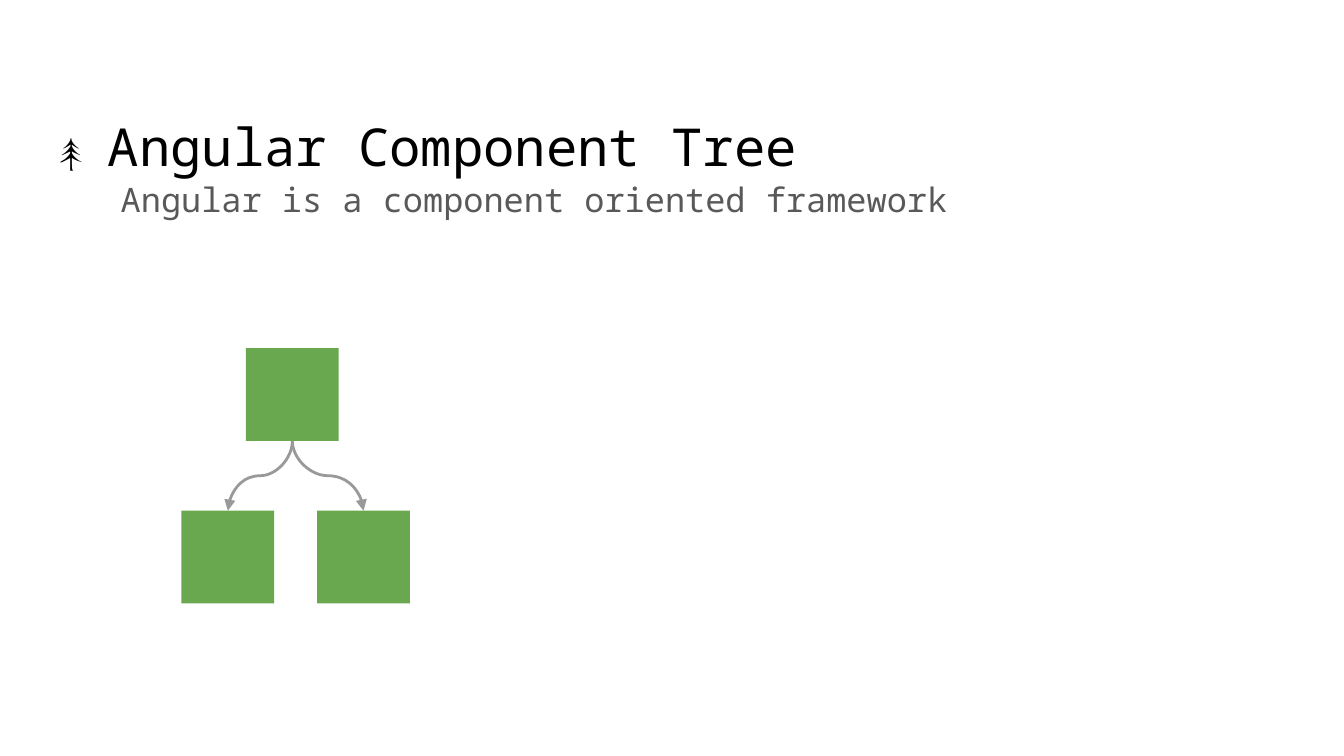
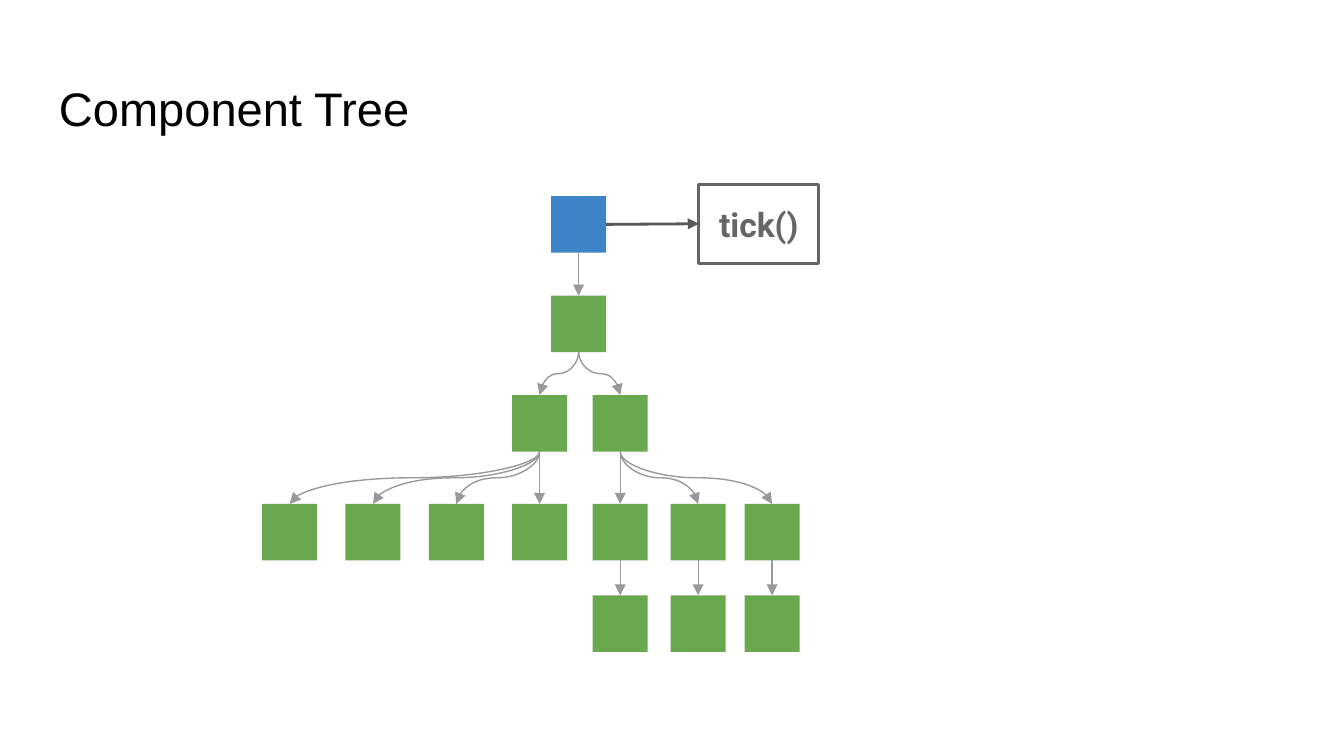
from lxml import etree
from pptx import Presentation
from pptx import util as u
from pptx.dml.color import RGBColor
from pptx.enum import shapes, text
from pptx.oxml import ns

GREEN, BLUE, GREY, DARK = "6AA84F", "3D85C6", "999999", "595959"
BLACK, WHITE, TICK_GREY = "000000", "FFFFFF", "666666"
MONO = "Noto Sans Mono"


def rgb(value):
    return RGBColor.from_string(value)


def link(slide, parent, child, color=GREY, points=0.75, sites=(2, 0)):
    """Arrow from one node to another, curved where the child is off to a side."""
    drop = child.top - parent.top - parent.height
    shift = child.left + child.width // 2 - parent.left - parent.width // 2
    curved = sites == (2, 0) and abs(shift) > u.Inches(0.02)
    kind = shapes.MSO_CONNECTOR.CURVE if curved else shapes.MSO_CONNECTOR.STRAIGHT
    arrow = slide.shapes.add_connector(kind, 0, 0, 0, 0)
    arrow.begin_connect(parent, sites[0])
    arrow.end_connect(child, sites[1])
    arrow.line.color.rgb = rgb(color)
    arrow.line.width = u.Pt(points)
    properties = arrow._element.spPr
    if curved:
        # The curve leaves sideways by nature, so it is turned to leave downwards
        center_x = parent.left + parent.width // 2 + shift // 2
        center_y = parent.top + parent.height + drop // 2
        arrow.width, arrow.height = drop, abs(shift)
        arrow.left, arrow.top = center_x - drop // 2, center_y - abs(shift) // 2
        frame = properties.find(ns.qn("a:xfrm"))
        frame.set("rot", str((270 if shift > 0 else 90) * 60000))
        frame.set("flipH", "1" if shift > 0 else "0")
        frame.set("flipV", "0")
    etree.SubElement(arrow.line._get_or_add_ln(), ns.qn("a:tailEnd"), type="triangle")
    etree.SubElement(properties, ns.qn("a:effectLst"))


# Widescreen, 16 to 9
prs = Presentation()
prs.slide_width = u.Inches(10)
prs.slide_height = prs.slide_width * 9 // 16

# Each slide: headings, node size, row tops, nodes (name: row, left, colour), links, line width
slides = [
    {
        "headings": [
            ((0.34, 0.52, 9.32, 0.92), 1.5, MONO, BLACK, [("🌲 ", 22), ("Angular Component Tree", 28)]),
            ((0.8, 1.19, 8.5, 0.86), 1.15, MONO, DARK, [("Angular is a component oriented framework", 18)]),
        ],
        "size": (0.69, 0.69),
        "rows": [2.59, 3.8],
        "nodes": {"root": (0, 1.83, GREEN), "left": (1, 1.35, GREEN), "right": (1, 2.36, GREEN)},
        "links": {"root": ["left", "right"]},
        "points": 1.5,
    },
    {
        "headings": [((0.34, 0.49, 9.32, 0.63), 1, "Arial", BLACK, [("Component Tree", 25.2)])],
        "size": (0.41, 0.42),
        "rows": [1.46, 2.2, 2.94, 3.75, 4.43],
        "nodes": {
            "app": (0, 4.1, BLUE),
            "root": (1, 4.1, GREEN),
            "left": (2, 3.81, GREEN),
            "right": (2, 4.41, GREEN),
        },
        "links": {"app": ["root"], "root": ["left", "right"], "left": [], "right": []},
        "points": 0.75,
    },
]

# Lower levels of the second tree: four leaves on the left, three pairs on the right
tree = slides[1]
for column in range(4):
    tree["nodes"][f"leaf {column}"] = (3, 1.95 + 0.62 * column, GREEN)
    tree["links"]["left"].append(f"leaf {column}")
for column, left in enumerate([4.41, 4.99, 5.54]):
    branch, end = f"branch {column}", f"end {column}"
    tree["nodes"][branch] = (3, left, GREEN)
    tree["nodes"][end] = (4, left, GREEN)
    tree["links"]["right"].append(branch)
    tree["links"][branch] = [end]

for content in slides:
    slide = prs.slides.add_slide(prs.slide_layouts[6])

    # Headings
    for place, spacing, font, color, runs in content["headings"]:
        heading = slide.shapes.add_textbox(*map(u.Inches, place)).text_frame
        heading.word_wrap = True
        heading.margin_left = heading.margin_right = u.Inches(0.1)
        heading.margin_top = heading.margin_bottom = u.Inches(0.1)
        line = heading.paragraphs[0]
        line.line_spacing = spacing
        for words, points in runs:
            run = line.add_run()
            run.text = words
            run.font.name, run.font.size = font, u.Pt(points)
            run.font.color.rgb = rgb(color)

    # Component nodes
    width, height = content["size"]
    nodes = {}
    for name, (row, left, color) in content["nodes"].items():
        node = slide.shapes.add_shape(
            shapes.MSO_SHAPE.RECTANGLE,
            *map(u.Inches, (left, content["rows"][row], width, height)))
        node.shadow.inherit = False
        node.fill.solid()
        node.fill.fore_color.rgb = rgb(color)
        node.line.fill.background()
        nodes[name] = node

    # Parent to child arrows
    for parent, children in content["links"].items():
        for child in children:
            link(slide, nodes[parent], nodes[child], points=content["points"])

# Call made by the top node of the second tree
tick = slide.shapes.add_shape(
    shapes.MSO_SHAPE.RECTANGLE, *map(u.Inches, (5.2, 1.37, 0.89, 0.59)))
tick.shadow.inherit = False
tick.fill.solid()
tick.fill.fore_color.rgb = rgb(WHITE)
tick.line.color.rgb = rgb(TICK_GREY)
tick.line.width = u.Pt(1.5)
tick.text_frame.text = "tick()"
tick.text_frame.vertical_anchor = text.MSO_ANCHOR.MIDDLE
label = tick.text_frame.paragraphs[0]
label.alignment = text.PP_ALIGN.CENTER
font = label.runs[0].font
font.name, font.size, font.bold = "Roboto", u.Pt(18), True
font.color.rgb = rgb(TICK_GREY)
link(slide, nodes["app"], tick, DARK, 1.5, sites=(3, 1))

prs.save("out.pptx")
